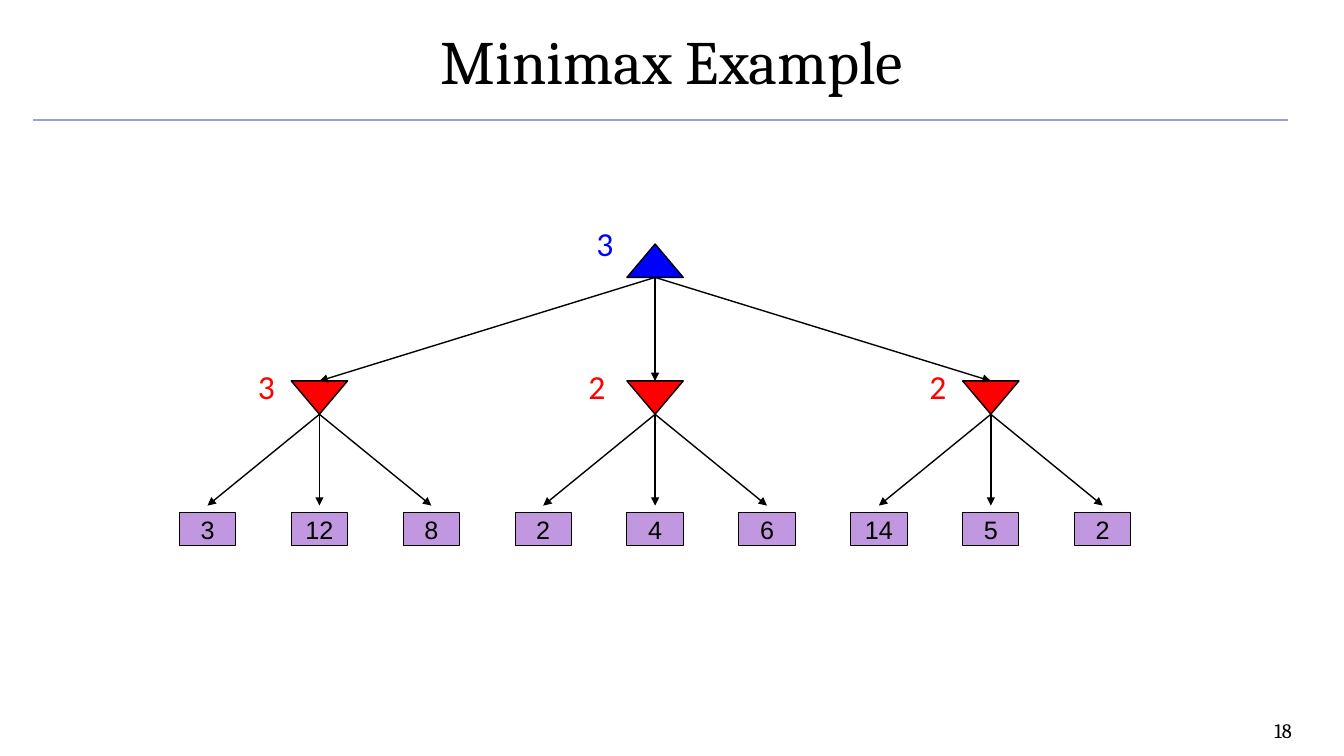
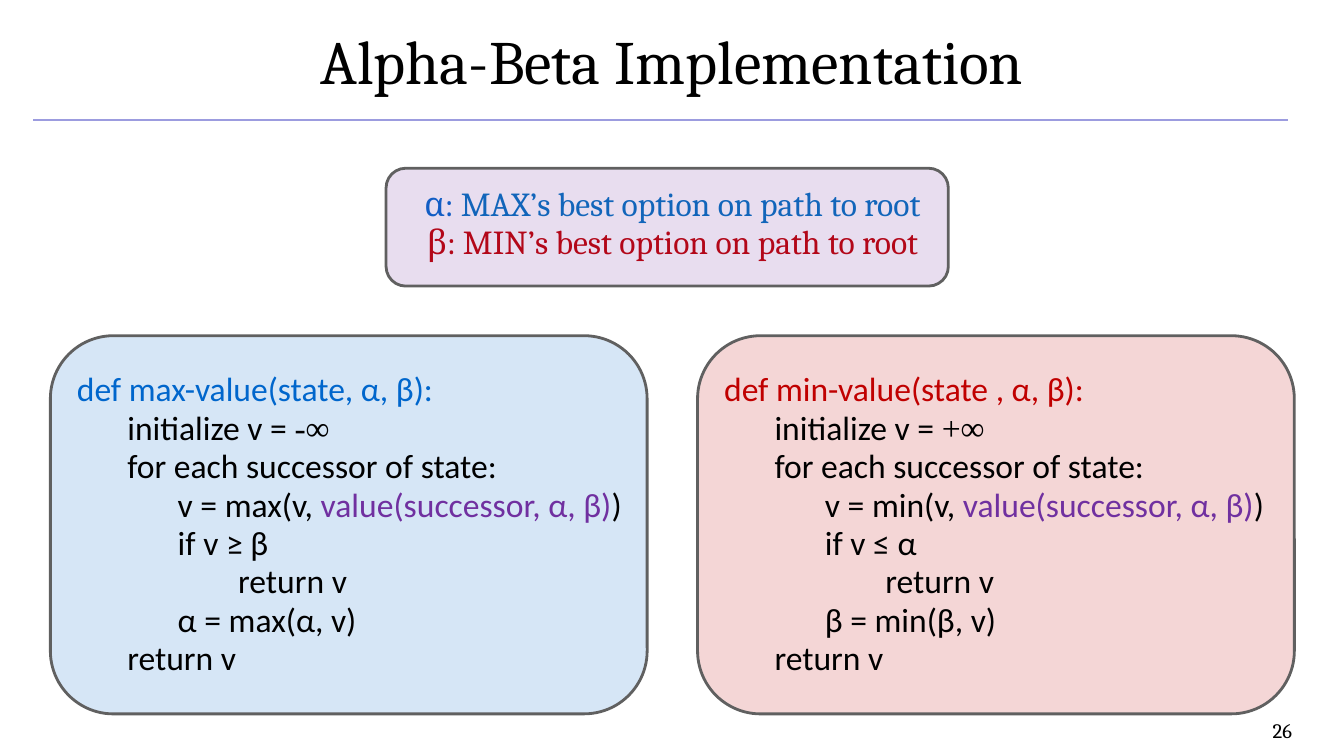
from dataclasses import dataclass
from lxml.etree import SubElement
from pptx import Presentation
from pptx.dml.color import RGBColor
from pptx.enum.dml import MSO_LINE
from pptx.enum.shapes import MSO_CONNECTOR, MSO_SHAPE
from pptx.enum.text import MSO_ANCHOR, MSO_AUTO_SIZE, PP_ALIGN
from pptx.oxml.ns import qn
from pptx.util import Cm, Pt


@dataclass(frozen=True)
class Theme:
    black: str = "000000"
    rule: str = "9C9CDF"
    leaf: str = "C198E0"
    max_node: str = "0000FF"
    min_node: str = "FF0000"
    alpha: str = "0066CC"
    alpha_text: str = "0070C0"
    beta: str = "C00000"
    call: str = "7030A0"
    border: str = "606060"
    serif: str = "Cambria"
    sans: str = "Calibri"
    number: str = "Arial"
    symbol: str = "Times New Roman"
    title_size: float = 44
    text_size: float = 24
    leaf_size: float = 18
    page_size: float = 14.7


@dataclass(frozen=True)
class Box:
    x: float
    y: float
    w: float
    h: float

    @property
    def cx(self):
        return self.x + self.w / 2

    @property
    def bottom(self):
        return self.y + self.h

    def inner(self, dx, dy):
        return Box(self.x + dx, self.y + dy, self.w - dx, self.h - dy)

    def lengths(self):
        return [Cm(v) for v in (self.x, self.y, self.w, self.h)]


T = Theme()
WIDTH, HEIGHT = 33.87, 19.05
TITLE = Box(0, -0.08, WIDTH, 3.18)
PAGE = Box(26.82, 17.98, 5.92, 0.81)
TREE = Box(4.52, 6.15, 24, 7.6)
CALLOUT = Box(9.73, 4.24, 14.17, 2.97)
MAX_PANEL = Box(1.27, 8.46, 15.04, 9.53)
MIN_PANEL = Box(17.58, 8.46, 15.04, 9.53)
NARROW = dict(margin_left=Cm(0.18), margin_right=Cm(0.18),
              margin_top=Cm(0.1), margin_bottom=Cm(0.1))
SPACED = dict(line_spacing=0.8)
INDENT = 1.27


def apply(obj, values):
    for name, value in values.items():
        setattr(obj, name, value)


def place(sp, box):
    apply(sp, dict(zip(("left", "top", "width", "height"), box.lengths())))


def add_run(p, text, color=T.black, font=T.sans, size=T.text_size):
    r = p.add_run()
    r.text = text
    apply(r.font, dict(name=font, size=Pt(size)))
    r.font.color.rgb = RGBColor.from_string(color)


def add_text(s, box, **frame):
    tf = s.shapes.add_textbox(*box.lengths()).text_frame
    apply(tf, dict(word_wrap=True, auto_size=MSO_AUTO_SIZE.NONE) | frame)
    return tf


def add_block(s, kind, box, fill, border=T.black, width=1.0, opacity=None):
    sp = s.shapes.add_shape(kind, *box.lengths())
    sp.shadow.inherit = False
    sp.fill.solid()
    sp.fill.fore_color.rgb = RGBColor.from_string(fill)
    sp.line.color.rgb = RGBColor.from_string(border)
    sp.line.width = Pt(width)
    if opacity:
        color = sp._element.spPr.find(qn("a:solidFill")).find(qn("a:srgbClr"))
        SubElement(color, qn("a:alpha")).set("val", str(opacity * 1000))
    return sp


def add_line(s, start, end, color=T.black, arrow=False):
    c = s.shapes.add_connector(MSO_CONNECTOR.STRAIGHT, *map(Cm, (*start, *end)))
    apply(c.line, dict(width=Pt(1), dash_style=MSO_LINE.SOLID))
    c.line.color.rgb = RGBColor.from_string(color)
    if arrow:
        SubElement(c.line._get_or_add_ln(), qn("a:tailEnd")).set("type", "triangle")
    SubElement(c._element.spPr, qn("a:effectLst"))


def add_slide(prs, layout, title, page):
    s = prs.slides.add_slide(prs.slide_layouts[layout])
    add_line(s, (0.84, 3.02), (32.46, 3.02), T.rule)
    place(s.shapes.title, TITLE)
    tf = s.shapes.title.text_frame
    apply(tf, NARROW | dict(vertical_anchor=MSO_ANCHOR.MIDDLE,
                            auto_size=MSO_AUTO_SIZE.NONE))
    p = tf.paragraphs[0]
    p.alignment = PP_ALIGN.CENTER
    add_run(p, title, font=T.serif, size=T.title_size)
    p = add_text(s, PAGE, **NARROW).paragraphs[0]
    p.alignment = PP_ALIGN.RIGHT
    add_run(p, page, font=T.serif, size=T.page_size)
    return s


def add_node(s, box, value, color, dx, dy, flip=False):
    sp = add_block(s, MSO_SHAPE.ISOSCELES_TRIANGLE, box, color)
    if flip:
        sp._element.spPr.xfrm.set("flipV", "1")
    label = Box(box.x - dx, box.y - dy, 0.94, 1.27)
    add_run(add_text(s, label, word_wrap=False).paragraphs[0], value, color)


def add_leaf(s, box, value):
    sp = add_block(s, MSO_SHAPE.RECTANGLE, box, T.leaf, width=0.75)
    tf = sp.text_frame
    apply(tf, dict(word_wrap=False, vertical_anchor=MSO_ANCHOR.MIDDLE))
    p = tf.paragraphs[0]
    p.alignment = PP_ALIGN.CENTER
    add_run(p, value, font=T.number, size=T.leaf_size)


def add_tree(s, box, root_value, branches):
    node_w, node_h, pitch, gap = 1.42, 0.84, 2.82, 0.17

    def cell(column, dy):
        return Box(box.x + column * pitch, box.y + dy, node_w, node_h)

    root = cell(4, 0)
    add_node(s, root, root_value, T.max_node, 1.02, 0.66)
    for i, (value, dx, leaves) in enumerate(branches):
        node = cell(3 * i + 1, 3.45)
        add_node(s, node, value, T.min_node, dx, 0.5, flip=True)
        add_line(s, (root.cx, root.bottom), (node.cx, node.y), arrow=True)
        for j, leaf_value in enumerate(leaves):
            leaf = cell(3 * i + j, 6.76)
            add_leaf(s, leaf, leaf_value)
            add_line(s, (node.cx, node.bottom), (leaf.cx, leaf.y - gap), arrow=True)


def add_callout(s, box, lines):
    body = s.placeholders[1]
    place(body, Box(box.x + 0.13, box.y + 0.46, box.w, 2.3))
    tf = body.text_frame
    apply(tf, NARROW | dict(auto_size=MSO_AUTO_SIZE.NONE, vertical_anchor=MSO_ANCHOR.TOP))
    for i, runs in enumerate(lines):
        p = tf.add_paragraph() if i else tf.paragraphs[0]
        pPr = p._p.get_or_add_pPr()
        pPr.set("marL", "0")
        pPr.set("indent", "0")
        SubElement(pPr, qn("a:buNone"))
        apply(p, SPACED | dict(alignment=PP_ALIGN.CENTER, space_before=Pt(4.4 if i else 0)))
        for text, color in runs:
            add_run(p, text, color, T.serif)
    add_block(s, MSO_SHAPE.ROUNDED_RECTANGLE, box, T.call, T.border, 2, 16)


def code_lines(head, color, start, func, test, bound):
    return [
        (0, [(head, color)]),
        (1, [("initialize v = ",), (start, T.black, T.symbol)]),
        (1, [("for each successor of state:",)]),
        (2, [(f"v = {func}(v, ",), ("value(successor, α, β)", T.call), (")",)]),
        (2, [(f"if v {test}",)]),
        (3.2, [("return v",)]),
        (2, [(f"{bound} = {func}({bound}, v)",)]),
        (1, [("return v",)]),
    ]


def add_code_panel(s, box, color, lines):
    add_block(s, MSO_SHAPE.ROUNDED_RECTANGLE, box, color, T.border, 2, 16)
    tf = add_text(s, box.inner(0.42, 0.89))
    for i, (level, runs) in enumerate(lines):
        p = tf.add_paragraph() if i else tf.paragraphs[0]
        p._p.get_or_add_pPr().set("marL", str(Cm(level * INDENT)))
        apply(p, SPACED | dict(space_before=Pt(4.4 if i else 0)))
        for run in runs:
            add_run(p, *run)


def minimax_slide(prs):
    s = add_slide(prs, 5, "Minimax Example", "18")
    add_tree(s, TREE, "3", [
        ("3", 1.09, ("3", "12", "8")),
        ("2", 1.22, ("2", "4", "6")),
        ("2", 1.09, ("14", "5", "2")),
    ])


def alpha_beta_slide(prs):
    s = add_slide(prs, 1, "Alpha-Beta Implementation", "26")
    add_callout(s, CALLOUT, [
        [("α: ", T.alpha), ("MAX’s best option on path to root", T.alpha_text)],
        [("β: MIN’s best option on path to root", T.beta)],
    ])
    add_code_panel(s, MAX_PANEL, T.alpha, code_lines(
        "def max-value(state, α, β):", T.alpha, "-∞", "max", "≥ β", "α"))
    add_code_panel(s, MIN_PANEL, T.beta, code_lines(
        "def min-value(state , α, β):", T.beta, "+∞", "min", "≤ α", "β"))


def main():
    prs = Presentation()
    apply(prs, dict(slide_width=Cm(WIDTH), slide_height=Cm(HEIGHT)))
    minimax_slide(prs)
    alpha_beta_slide(prs)
    prs.save("out.pptx")


if __name__ == "__main__":
    main()
